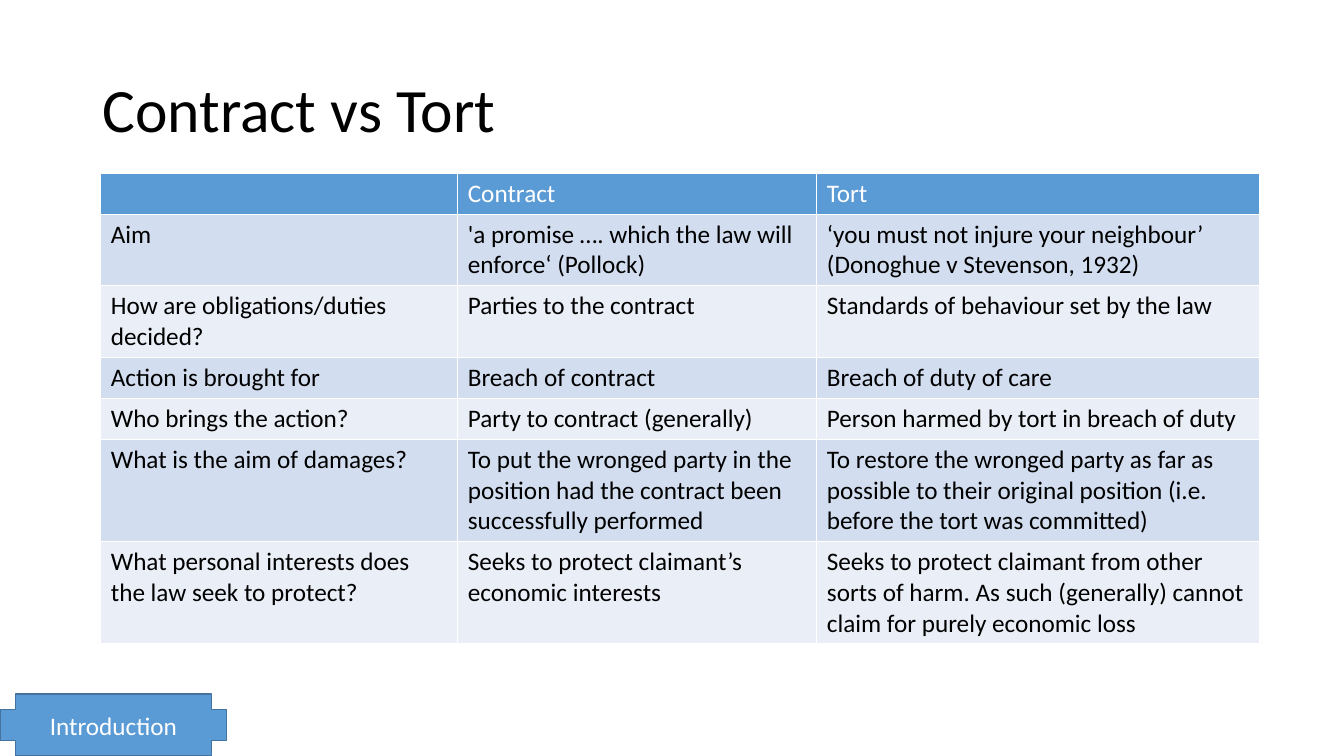
from pptx import Presentation
from pptx.dml.color import RGBColor
from pptx.enum.shapes import MSO_SHAPE
from pptx.enum.text import MSO_ANCHOR, PP_ALIGN
from pptx.util import Pt

EMU_PER_PX = 9525
BLACK = RGBColor(0x00, 0x00, 0x00)
WHITE = RGBColor(0xFF, 0xFF, 0xFF)
BLUE = RGBColor(0x5B, 0x9B, 0xD5)
DARK_BLUE = RGBColor(0x43, 0x73, 0x9E)
BAND_DARK = RGBColor(0xD2, 0xDE, 0xEF)
BAND_LIGHT = RGBColor(0xEA, 0xEF, 0xF7)

COLUMN_WIDTHS = [340, 342, 422]
ROW_HEIGHT = 39
COMPARISON = [
    ("", "Contract", "Tort"),
    ("Aim",
     "'a promise …. which the law will enforce‘ (Pollock)",
     "‘you must not injure your neighbour’ (Donoghue v Stevenson, 1932)"),
    ("How are obligations/duties decided?",
     "Parties to the contract",
     "Standards of behaviour set by the law"),
    ("Action is brought for", "Breach of contract", "Breach of duty of care"),
    ("Who brings the action?",
     "Party to contract (generally)",
     "Person harmed by tort in breach of duty"),
    ("What is the aim of damages?",
     "To put the wronged party in the position had the contract been "
     "successfully performed",
     "To restore the wronged party as far as possible to their original "
     "position (i.e. before the tort was committed)"),
    ("What personal interests does the law seek to protect?",
     "Seeks to protect claimant’s economic interests",
     "Seeks to protect claimant from other sorts of harm. As such (generally) "
     "cannot claim for purely economic loss"),
]


def px(length):
    return length * EMU_PER_PX


def write_text(text_frame, text, font="Calibri", size=18, color=BLACK,
               align=PP_ALIGN.LEFT, anchor=None, line_spacing=None):
    text_frame.word_wrap = True
    if anchor is not None:
        text_frame.vertical_anchor = anchor
    paragraph = text_frame.paragraphs[0]
    paragraph.alignment = align
    paragraph.line_spacing = line_spacing
    paragraph.font.size = Pt(size)
    if not text:
        return
    run = paragraph.add_run()
    run.text = text
    run.font.name = font
    run.font.size = Pt(size)
    run.font.bold = False
    run.font.color.rgb = color


class SlideBuilder:
    def __init__(self, presentation, font="Calibri"):
        self.font = font
        self.slide = presentation.slides.add_slide(presentation.slide_layouts[5])

    def title(self, text, left, top, width, height):
        title = self.slide.shapes.title
        title.left, title.top = px(left), px(top)
        title.width, title.height = px(width), px(height)
        write_text(title.text_frame, text, font=self.font, size=44,
                   anchor=MSO_ANCHOR.MIDDLE, line_spacing=0.9)

    def table(self, rows, left, top, column_widths, row_height):
        frame = self.slide.shapes.add_table(
            len(rows), len(column_widths), px(left), px(top),
            px(sum(column_widths)), px(row_height * len(rows)))
        table = frame.table
        for column, width in zip(table.columns, column_widths):
            column.width = px(width)
        for row_index, row in enumerate(rows):
            is_header = row_index == 0
            band = BAND_DARK if row_index % 2 else BAND_LIGHT
            for column_index, text in enumerate(row):
                cell = table.cell(row_index, column_index)
                cell.fill.solid()
                cell.fill.fore_color.rgb = BLUE if is_header else band
                write_text(cell.text_frame, text, font=self.font,
                           color=WHITE if is_header else BLACK)

    def button(self, text, left, top, width, height):
        shape = self.slide.shapes.add_shape(
            MSO_SHAPE.CROSS, px(left), px(top), px(width), px(height))
        shape.shadow.inherit = False
        shape.fill.solid()
        shape.fill.fore_color.rgb = BLUE
        shape.line.color.rgb = DARK_BLUE
        shape.line.width = Pt(1)
        write_text(shape.text_frame, text, font=self.font, color=WHITE,
                   align=PP_ALIGN.CENTER, anchor=MSO_ANCHOR.MIDDLE)


def main():
    presentation = Presentation()
    presentation.slide_width = px(1280)
    presentation.slide_height = px(720)
    builder = SlideBuilder(presentation)
    builder.title("Contract vs Tort", 88, 38, 1104, 139)
    builder.table(COMPARISON, 96, 165, COLUMN_WIDTHS, ROW_HEIGHT)
    builder.button("Introduction", 0, 661, 216, 59)
    presentation.save("out.pptx")


if __name__ == "__main__":
    main()
